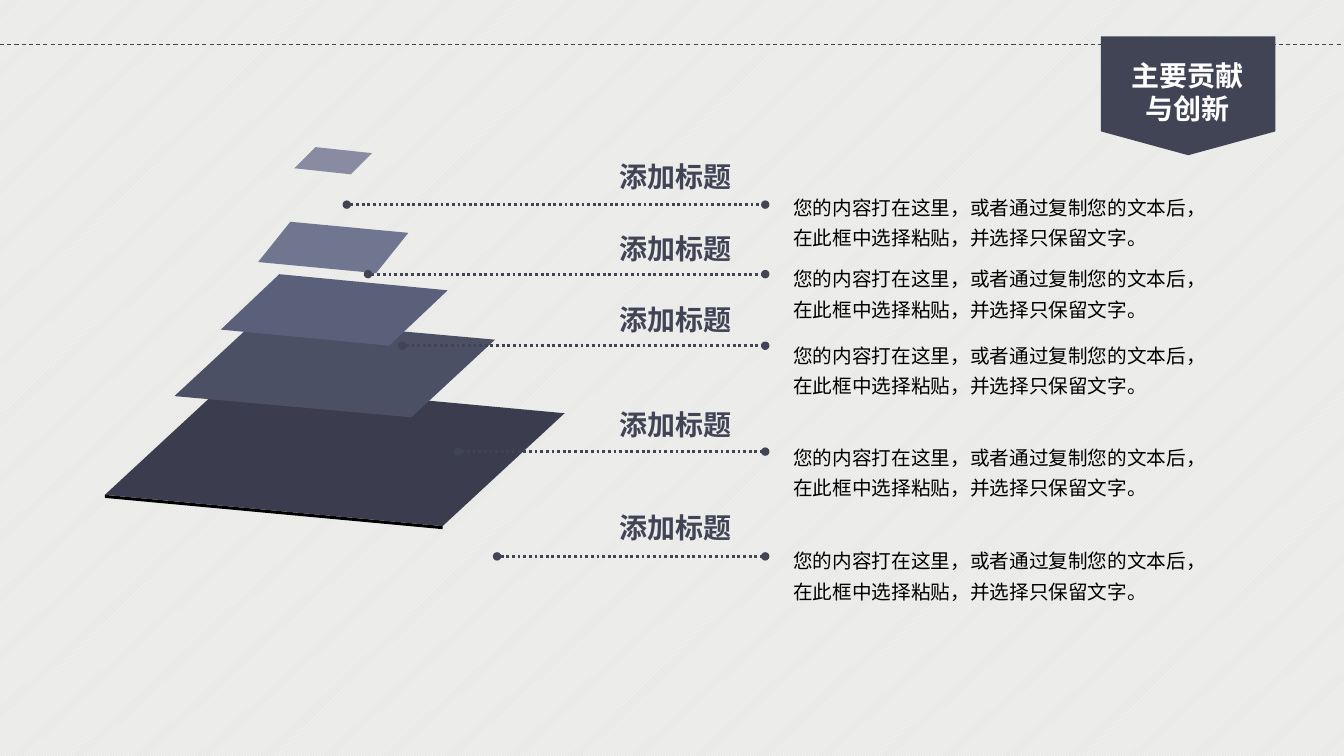
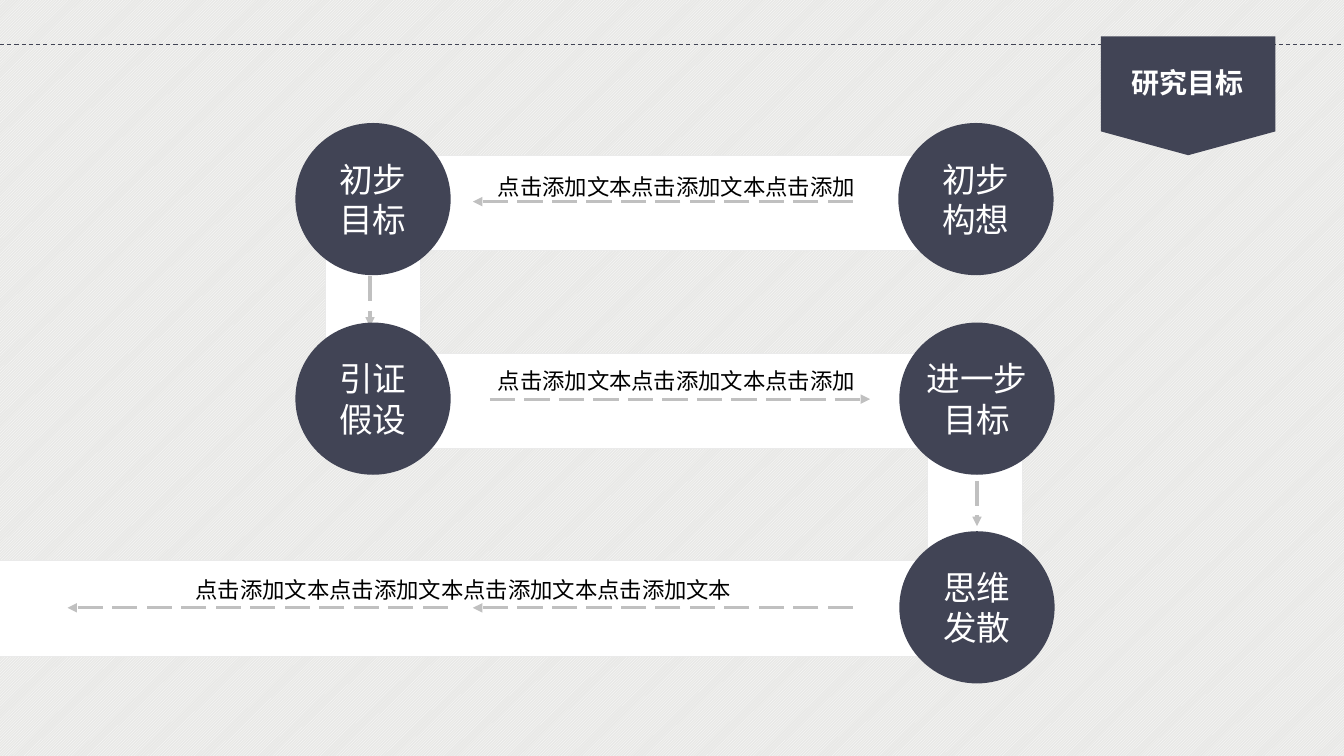
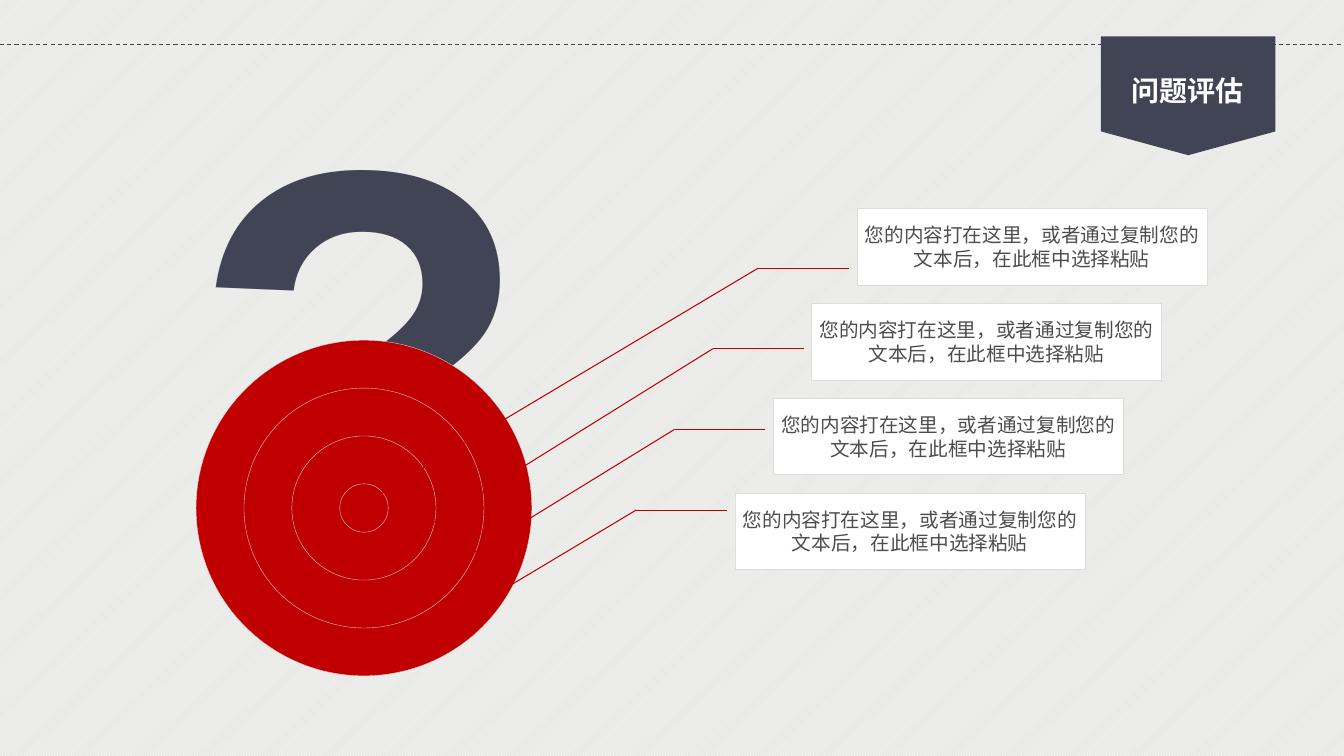
from lxml.etree import SubElement
from pptx import Presentation
from pptx.dml.color import RGBColor
from pptx.enum.dml import MSO_LINE, MSO_PATTERN
from pptx.enum.shapes import MSO_CONNECTOR, MSO_SHAPE
from pptx.enum.text import MSO_ANCHOR, PP_ALIGN
from pptx.oxml.ns import qn
from pptx.util import Inches, Pt

NAVY = RGBColor(0x41, 0x44, 0x55)
WHITE = RGBColor(0xFF, 0xFF, 0xFF)
BLACK = RGBColor(0x00, 0x00, 0x00)
PAPER = RGBColor(0xE8, 0xE8, 0xE6)
BAND_EDGE = RGBColor(0xEA, 0xEA, 0xEA)
ARROW = RGBColor(0xC0, 0xC0, 0xC0)
RED = RGBColor(0xC0, 0x00, 0x00)
RING_EDGE = RGBColor(0xD7, 0xD7, 0xD7)
CARD_EDGE = RGBColor(0xDD, 0xDD, 0xDD)
CARD_TEXT = RGBColor(0x4D, 0x4D, 0x4D)
PLATE_COLOURS = [
    RGBColor(0x3B, 0x3D, 0x4E),
    RGBColor(0x4C, 0x50, 0x64),
    RGBColor(0x5A, 0x5F, 0x7A),
    RGBColor(0x71, 0x76, 0x90),
    RGBColor(0x88, 0x8B, 0xA2),
]
CJK = "Noto Sans CJK SC"


def style(part, fill=None, line=None, width=0.75, dash=None, head=None, tail=None):
    """Format a shape or connector and take away its theme shadow."""
    if fill is not None:
        part.fill.solid()
        part.fill.fore_color.rgb = fill
    if line is None:
        part.line.fill.background()
    else:
        part.line.color.rgb = line
        part.line.width = Pt(width)
        if dash is not None:
            part.line.dash_style = dash
        ln = part.line._get_or_add_ln()
        for tag, arrowhead in (("a:headEnd", head), ("a:tailEnd", tail)):
            if arrowhead:
                SubElement(ln, qn(tag)).set("type", arrowhead)
    SubElement(part._element.spPr, qn("a:effectLst"))


def write(holder, text, size, colour, font=CJK, bold=False, align=PP_ALIGN.CENTER,
          spacing=None, anchor=MSO_ANCHOR.TOP, wrap=True, margin=None):
    frame = holder.text_frame
    frame.text = text
    frame.word_wrap = wrap
    frame.vertical_anchor = anchor
    if margin is not None:
        frame.margin_left = frame.margin_right = Inches(margin)
        frame.margin_top = frame.margin_bottom = Inches(margin)
    for paragraph in frame.paragraphs:
        paragraph.alignment = align
        paragraph.line_spacing = spacing
        for run in paragraph.runs:
            run.font.size = Pt(size)
            run.font.bold = bold
            run.font.name = font
            run.font.color.rgb = colour
            SubElement(run.font._element, qn("a:ea")).set("typeface", CJK)


prs = Presentation()
prs.slide_width = Inches(13.33)
prs.slide_height = Inches(7.5)

backdrop = prs.slide_master.background.fill
backdrop.patterned()
backdrop.pattern = MSO_PATTERN.LIGHT_UPWARD_DIAGONAL
backdrop.fore_color.rgb = WHITE
backdrop.back_color.rgb = PAPER

# Every slide: dashed rule and title flag
pages = []
for title, title_top, title_height in [
    ("主要贡献\n与创新", 0.53, 0.77),
    ("研究目标", 0.6, 0.44),
    ("问题评估", 0.68, 0.44),
]:
    page = prs.slides.add_slide(prs.slide_layouts[6]).shapes
    rule = page.add_connector(MSO_CONNECTOR.STRAIGHT, 0, Inches(0.44),
                              prs.slide_width, Inches(0.44))
    style(rule, line=NAVY, dash=MSO_LINE.DASH)
    flag = page.add_shape(MSO_SHAPE.FLOWCHART_OFFPAGE_CONNECTOR, Inches(10.92),
                          Inches(0.36), Inches(1.73), Inches(1.18))
    style(flag, fill=NAVY)
    heading = page.add_textbox(Inches(11.12), Inches(title_top),
                               Inches(1.32), Inches(title_height))
    write(heading, title, 20, WHITE, bold=True, wrap=False)
    pages.append(page)
contributions, goals, assessment = pages

# Slide 1: stacked plates, each given by its left, front and right corners
plates = [
    ((1.04, 4.91), (4.39, 5.22), (5.6, 4.1)),
    ((1.73, 3.93), (4.08, 4.14), (4.91, 3.37)),
    ((2.19, 3.27), (3.86, 3.43), (4.44, 2.88)),
    ((2.56, 2.6), (3.73, 2.71), (4.05, 2.31)),
    ((2.92, 1.67), (3.48, 1.73), (3.69, 1.52)),
]
outlines = [
    ([left, front, right, (left[0] + right[0] - front[0], left[1] + right[1] - front[1])],
     colour)
    for (left, front, right), colour in zip(plates, PLATE_COLOURS)
]
base_left, base_front, _ = plates[0]
thickness = 0.03
base_edge = [base_left, base_front, (base_front[0], base_front[1] + thickness),
             (base_left[0], base_left[1] + thickness)]
for corners, colour in [(base_edge, BLACK)] + outlines:
    points = [(Inches(x), Inches(y)) for x, y in corners]
    builder = contributions.build_freeform(*points[0])
    builder.add_line_segments(points[1:], close=True)
    style(builder.convert_to_shape(), fill=colour)

for leader_x, leader_y, label_top, body_top in [
    (3.44, 2.03, 1.53, 1.82),
    (3.65, 2.72, 2.25, 2.53),
    (3.99, 3.43, 2.95, 3.29),
    (4.54, 4.48, 3.99, 4.3),
    (4.93, 5.52, 5.02, 5.33),
]:
    leader = contributions.add_connector(
        MSO_CONNECTOR.STRAIGHT, Inches(leader_x), Inches(leader_y),
        Inches(7.59), Inches(leader_y))
    style(leader, line=NAVY, width=2, dash=MSO_LINE.ROUND_DOT, head="oval", tail="oval")
    label = contributions.add_textbox(Inches(6.04), Inches(label_top),
                                      Inches(1.32), Inches(0.44))
    write(label, "添加标题", 20, NAVY, bold=True, wrap=False)
    body = contributions.add_textbox(Inches(7.77), Inches(body_top),
                                     Inches(4.22), Inches(0.71))
    write(body, "您的内容打在这里，或者通过复制您的文本后，在此框中选择粘贴，并选择只保留文字。",
          14, BLACK, align=PP_ALIGN.LEFT, spacing=1.3)

# Slide 2: white bands, arrows, captions and stages
for left, top, width, height in [
    (0, 5.56, 10.14, 0.95),
    (3.58, 3.51, 6.55, 0.94),
    (9.2, 3.97, 0.94, 2.59),
    (4.12, 1.54, 6.01, 0.95),
    (3.23, 1.53, 0.94, 2.92),
]:
    band = goals.add_shape(MSO_SHAPE.RECTANGLE, Inches(left), Inches(top),
                           Inches(width), Inches(height))
    style(band, fill=WHITE, line=BAND_EDGE)

for x1, y1, x2, y2 in [
    (8.46, 2, 4.69, 2),
    (3.67, 2.74, 3.67, 3.24),
    (4.86, 3.96, 8.63, 3.96),
    (9.69, 4.77, 9.69, 5.22),
    (8.46, 6.03, 4.69, 6.03),
    (4.44, 6.03, 0.67, 6.03),
]:
    arrow = goals.add_connector(MSO_CONNECTOR.STRAIGHT, Inches(x1), Inches(y1),
                                Inches(x2), Inches(y2))
    style(arrow, line=ARROW, width=2.25, dash=MSO_LINE.LONG_DASH, tail="triangle")

for caption, left, top, width in [
    ("点击添加文本点击添加文本点击添加", 4.72, 1.53, 3.98),
    ("点击添加文本点击添加文本点击添加", 4.72, 3.46, 3.98),
    ("点击添加文本点击添加文本点击添加文本点击添加文本", 0.74, 5.53, 7.72),
]:
    caption_box = goals.add_textbox(Inches(left), Inches(top), Inches(width), Inches(0.5))
    write(caption_box, caption, 16, BLACK, spacing=1.5, anchor=MSO_ANCHOR.MIDDLE)

for name, left, top in [
    ("初步\n构想", 8.91, 1.22),
    ("初步\n目标", 2.93, 1.22),
    ("引证\n假设", 2.93, 3.2),
    ("进一步\n目标", 8.92, 3.2),
    ("思维\n发散", 8.92, 5.27),
]:
    stage = goals.add_shape(MSO_SHAPE.OVAL, Inches(left), Inches(top),
                            Inches(1.54), Inches(1.51))
    style(stage, fill=NAVY)
    write(stage, name, 24, WHITE, font="Calibri", anchor=MSO_ANCHOR.MIDDLE, wrap=False)

# Slide 3: question mark with a target as its dot, and four cards
question = assessment.add_textbox(Inches(1.79), Inches(-0.07), Inches(3.63), Inches(6.83))
write(question, "?", 400, NAVY, font="Arial", bold=True, align=PP_ALIGN.LEFT,
      anchor=MSO_ANCHOR.MIDDLE, wrap=False)

centre_x, centre_y = 3.61, 5.04
for diameter in (3.33, 2.38, 1.43, 0.48):
    ring = assessment.add_shape(
        MSO_SHAPE.OVAL, Inches(centre_x - diameter / 2), Inches(centre_y - diameter / 2),
        Inches(diameter), Inches(diameter))
    style(ring, fill=RED, line=RING_EDGE, width=0.25)

for row, (card_left, target_x, target_y) in enumerate([
    (8.5, 3.58, 5.01),
    (8.05, 3.97, 5.39),
    (7.67, 4.3, 5.73),
    (7.29, 4.64, 6.06),
]):
    card = assessment.add_shape(MSO_SHAPE.RECTANGLE, Inches(card_left),
                                Inches(2.07 + 0.94 * row), Inches(3.47), Inches(0.76))
    style(card, fill=WHITE, line=CARD_EDGE, width=0.25)
    write(card, "您的内容打在这里，或者通过复制您的文本后，在此框中选择粘贴", 14, CARD_TEXT,
          anchor=MSO_ANCHOR.MIDDLE, margin=0)
    elbow_x, elbow_y = card_left - 0.98, 2.66 + 0.8 * row
    for end_x, end_y in [(card_left - 0.08, elbow_y), (target_x, target_y)]:
        pointer = assessment.add_connector(MSO_CONNECTOR.STRAIGHT, Inches(elbow_x),
                                           Inches(elbow_y), Inches(end_x), Inches(end_y))
        style(pointer, line=RED)

prs.save("out.pptx")
